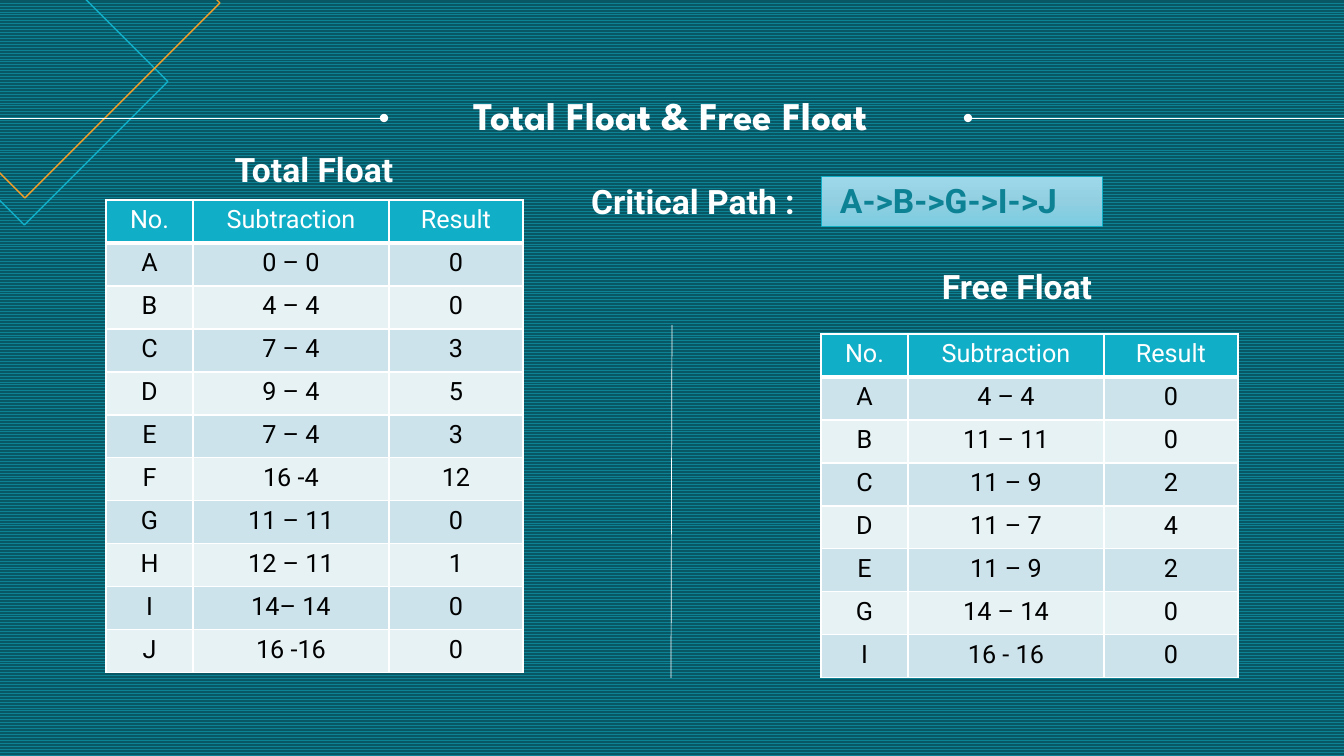
from copy import deepcopy

from lxml.etree import SubElement
from pptx import Presentation
from pptx.dml.color import RGBColor
from pptx.enum.dml import MSO_PATTERN
from pptx.enum.shapes import MSO_CONNECTOR, MSO_SHAPE
from pptx.enum.text import MSO_ANCHOR, MSO_AUTO_SIZE, PP_ALIGN
from pptx.oxml.ns import qn
from pptx.util import Emu, Pt

# Content
HEADING = "Total Float & Free Float"
COLUMNS = ("No.", "Subtraction", "Result")
TOTAL_FLOAT = [
    ("A", "0 – 0", "0"), ("B", "4 – 4", "0"), ("C", "7 – 4", "3"),
    ("D", "9 – 4", "5"), ("E", "7 – 4", "3"), ("F", "16 -4", "12"),
    ("G", "11 – 11", "0"), ("H", "12 – 11", "1"), ("I", "14– 14", "0"),
    ("J", "16 -16", "0"),
]
FREE_FLOAT = [
    ("A", "4 – 4", "0"), ("B", "11 – 11", "0"), ("C", "11 – 9", "2"),
    ("D", "11 – 7", "4"), ("E", "11 – 9", "2"), ("G", "14 – 14", "0"),
    ("I", "16 - 16", "0"),
]
WHITE, BLACK, CYAN, TEAL, ORANGE = "FFFFFF", "000000", "11AEC7", "0D8295", "F59F26"
DARK_TEAL, BANDS = "085764", ("CCE3EB", "E7F2F5")
PATH_GRADIENT = [(0, "9ED9EB"), (0.5, "91CFE1"), (1, "7CCCE1")]

# Geometry in px: left, top, width, height, or x1, y1, x2, y2 for lines
DIAMONDS = [((-119, -62, 287, 287), CYAN), ((-170, -192, 390, 390), ORANGE)]
LINES = [
    ((968, 118, 1344, 118), "headEnd"),
    ((0, 118, 384, 118), "tailEnd"),
    ((672, 325, 671, 678), None),
]
TABLES = [((106, 200), TOTAL_FLOAT), ((821, 334), FREE_FLOAT)]
COLUMN_WIDTHS, ROW_HEIGHT = (87, 196, 134), 43
PATH_BOX = (821, 176, 281, 50)
LABELS = [
    ("Total Float", (162, 144, 304, 50), WHITE),
    ("Free Float", (865, 261, 304, 50), WHITE),
    ("Critical Path :", (541, 176, 304, 50), WHITE),
    ("A->B->G->I->J", (760, 175, 377, 50), TEAL),
]


def px(*lengths):
    return [Emu(round(length * 914400 / 100.8)) for length in lengths]


def rgb(value):
    return RGBColor.from_string(value)


def write(frame, text, font, size, color, bold=False):
    frame.text = text
    paragraph = frame.paragraphs[0]
    paragraph.alignment = PP_ALIGN.CENTER
    style = paragraph.runs[0].font
    style.name, style.size, style.bold = font, Pt(size), bold
    style.color.rgb = rgb(color)
    return paragraph


def outline(shape, color, width):
    shape.line.color.rgb = rgb(color)
    shape.line.width = Pt(width)


def add_borders(cell, **widths):
    properties = cell._tc.get_or_add_tcPr()
    for position, side in enumerate("LRTB"):
        width = Pt(widths.get(side, 1))
        border = properties.makeelement(qn(f"a:ln{side}"), {"w": str(width)})
        fill = SubElement(border, qn("a:solidFill"))
        SubElement(fill, qn("a:srgbClr"), val=WHITE)
        properties.insert(position, border)


def add_float_table(slide, left, top, activities):
    rows = [COLUMNS, *activities]
    frame = slide.shapes.add_table(
        len(rows), len(COLUMNS),
        *px(left, top, sum(COLUMN_WIDTHS), ROW_HEIGHT * len(rows)))
    table = frame.table
    for column, width in zip(table.columns, px(*COLUMN_WIDTHS)):
        column.width = width
    for r, values in enumerate(rows):
        table.rows[r].height = px(ROW_HEIGHT)[0]
        for c, value in enumerate(values):
            cell = table.cell(r, c)
            write(cell.text_frame, value, "Roboto", 18, BLACK if r else WHITE)
            cell.fill.solid()
            cell.fill.fore_color.rgb = rgb(BANDS[(r - 1) % 2] if r else CYAN)
            # Heavy rule between the header and the first activity
            add_borders(cell, T=3 if r == 1 else 1, B=1 if r else 3)


def main():
    deck = Presentation()
    deck.slide_width, deck.slide_height = px(1344, 756)
    slide = deck.slides.add_slide(deck.slide_layouts[5])
    shapes = slide.shapes

    # Patterned background
    background = slide.background.fill
    background.patterned()
    background.pattern = MSO_PATTERN.ZIG_ZAG
    background.fore_color.rgb = rgb(TEAL)
    background.back_color.rgb = rgb(DARK_TEAL)

    # Corner diamonds
    for box, color in DIAMONDS:
        diamond = shapes.add_shape(MSO_SHAPE.DIAMOND, *px(*box))
        diamond.shadow.inherit = False
        diamond.fill.background()
        outline(diamond, color, 1)

    # Title
    title = shapes.title
    title.left, title.top, title.width, title.height = px(24, 97, 1293, 42)
    frame = title.text_frame
    frame.margin_left = frame.margin_right = 0
    frame.margin_top = frame.margin_bottom = 0
    frame.vertical_anchor = MSO_ANCHOR.TOP
    frame.auto_size = MSO_AUTO_SIZE.SHAPE_TO_FIT_TEXT
    write(frame, HEADING, "League Spartan", 28, WHITE, True).line_spacing = 0.9

    # Title rules and divider
    for ends, dot in LINES:
        rule = shapes.add_connector(MSO_CONNECTOR.STRAIGHT, *px(*ends))
        outline(rule, WHITE, 0.5)
        if dot:
            SubElement(rule.line._get_or_add_ln(), qn(f"a:{dot}"), type="oval")
        SubElement(rule._element.spPr, qn("a:effectLst"))

    # Float tables
    for (left, top), activities in TABLES:
        add_float_table(slide, left, top, activities)

    # Critical path box
    path_box = shapes.add_shape(MSO_SHAPE.RECTANGLE, *px(*PATH_BOX))
    path_box.shadow.inherit = False
    outline(path_box, CYAN, 0.5)
    path_box.fill.gradient()
    path_box.fill.gradient_angle = 270
    stop_list = path_box._element.spPr.find(".//" + qn("a:gsLst"))
    stop_list.append(deepcopy(stop_list[0]))
    for stop, (position, color) in zip(path_box.fill.gradient_stops, PATH_GRADIENT):
        stop.position = position
        stop.color.rgb = rgb(color)

    # Labels
    for text, box, color in LABELS:
        frame = shapes.add_textbox(*px(*box)).text_frame
        frame.word_wrap = True
        frame.auto_size = MSO_AUTO_SIZE.SHAPE_TO_FIT_TEXT
        write(frame, text, "Roboto", 24, color, True)

    deck.save("out.pptx")


if __name__ == "__main__":
    main()
